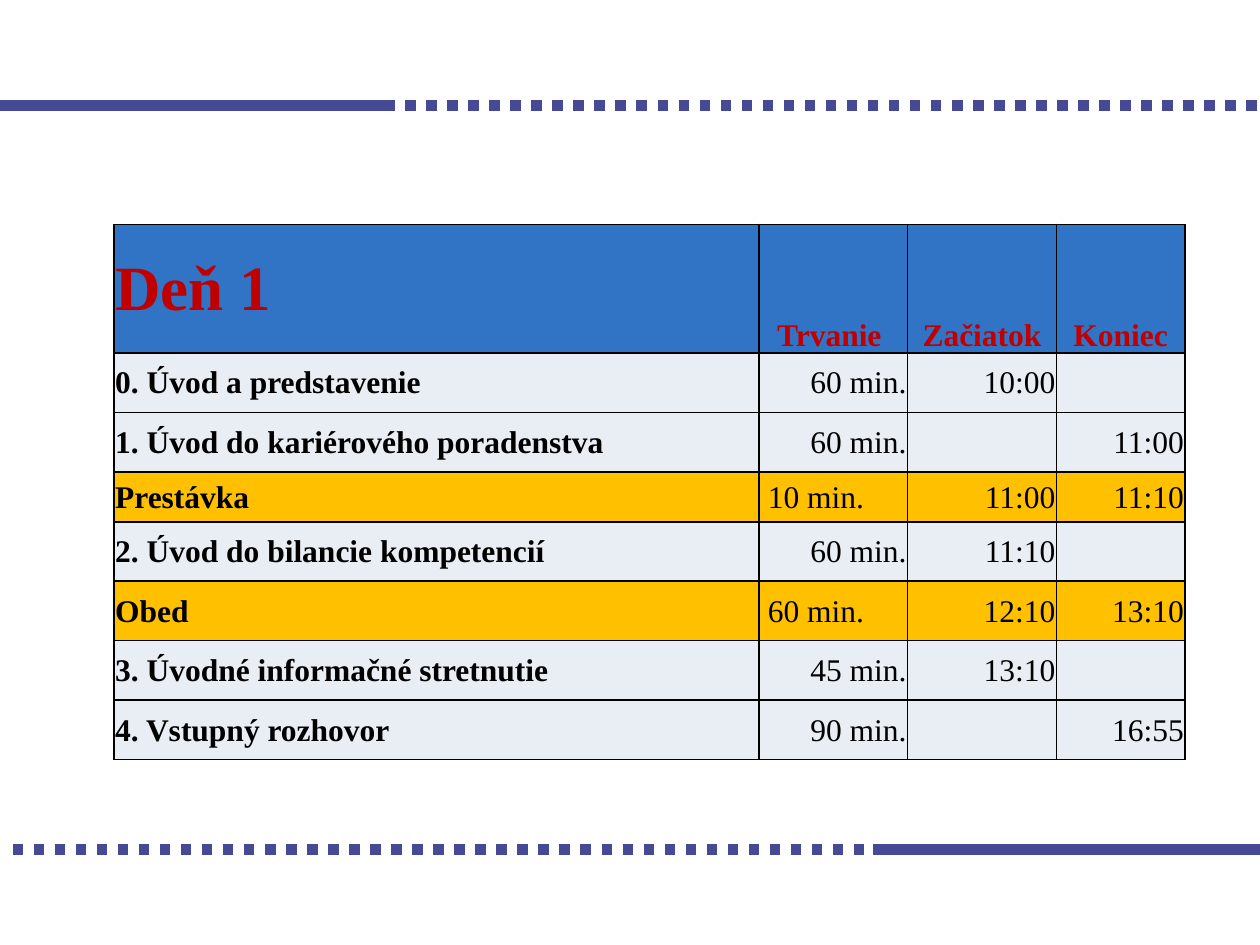
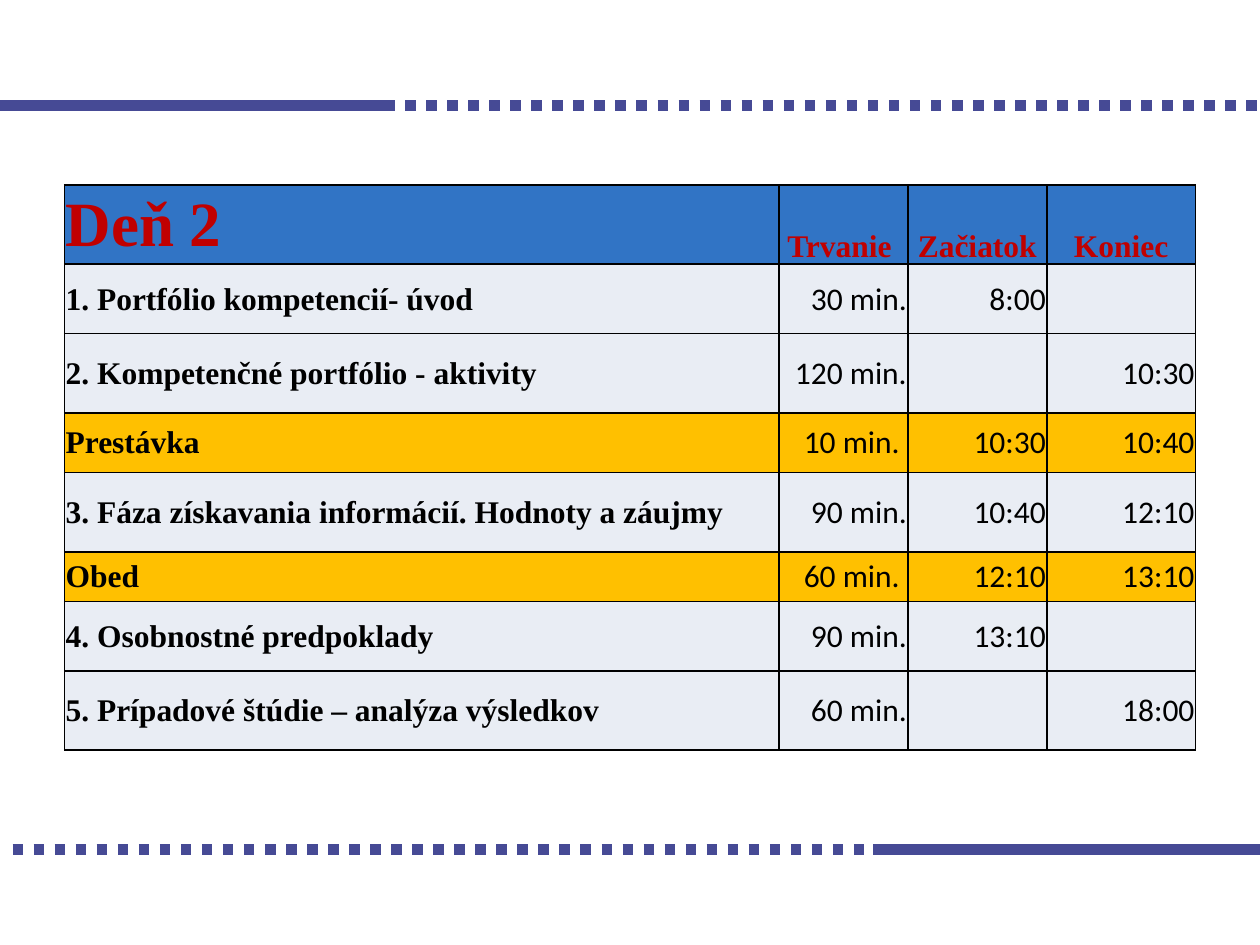
from pptx import Presentation
from pptx.dml.color import RGBColor
from pptx.enum import dml, shapes, text
from pptx.oxml import parse_xml
from pptx.oxml.ns import nsdecls
from pptx.util import Pt

# Shared look
INDIGO = RGBColor(0x46, 0x4A, 0x95)
BLUE = RGBColor(0x31, 0x74, 0xC5)
RED = RGBColor(0xC0, 0x00, 0x00)
PALE = RGBColor(0xE9, 0xED, 0xF4)
AMBER = RGBColor(0xFF, 0xC0, 0x00)
BLACK = RGBColor(0, 0, 0)
SERIF, SANS = "Times New Roman", "Calibri"
WIDTH, HEIGHT = 720, 540
LEFT, CENTER, RIGHT = (text.PP_ALIGN.LEFT, text.PP_ALIGN.CENTER,
                       text.PP_ALIGN.RIGHT)
MIDDLE, BOTTOM = text.MSO_ANCHOR.MIDDLE, text.MSO_ANCHOR.BOTTOM
BREAKS = ("Prestávka", "Obed")
HEADINGS = ("Trvanie ", "Začiatok", "Koniec")

# Timetables: topic, duration, start, end
DAY_ONE = [
    ("0. Úvod a predstavenie", "60 min.", "10:00", ""),
    ("1. Úvod do kariérového poradenstva", "60 min.", "", "11:00"),
    ("Prestávka", " 10 min.", "11:00", "11:10"),
    ("2. Úvod do bilancie kompetencií", "60 min.", "11:10", ""),
    ("Obed", " 60 min.", "12:10", "13:10"),
    ("3. Úvodné informačné stretnutie", "45 min.", "13:10", ""),
    ("4. Vstupný rozhovor", "90 min.", "", "16:55"),
]
DAY_TWO = [
    ("1. Portfólio kompetencií- úvod", "30 min.", "8:00", ""),
    ("2. Kompetenčné portfólio - aktivity", "120 min.", "", "10:30"),
    ("Prestávka", "10 min. ", "10:30", "10:40"),
    ("3. Fáza získavania informácií. Hodnoty a záujmy", "90 min.", "10:40", "12:10"),
    ("Obed", "60 min. ", "12:10", "13:10"),
    ("4. Osobnostné predpoklady", "90 min.", "13:10", ""),
    ("5. Prípadové štúdie – analýza výsledkov", "60 min.", "", "18:00"),
]


def add_rule(page, start, end, y, dotted=False):
    rule = page.shapes.add_connector(
        shapes.MSO_CONNECTOR.STRAIGHT, Pt(start), Pt(y), Pt(end), Pt(y))
    rule.line.color.rgb = INDIGO
    rule.line.width = Pt(6)
    if dotted:
        rule.line.dash_style = dml.MSO_LINE.ROUND_DOT
    rule.element.spPr.append(parse_xml(f"<a:effectLst {nsdecls('a')}/>"))


def add_bands(page):
    """Half solid, half dotted rules above and below the timetable."""
    top, bottom = 60.2, 485.4
    add_rule(page, 0, 221, top)
    add_rule(page, 219.5, 718.5, top, dotted=True)
    add_rule(page, 499, WIDTH, bottom)
    add_rule(page, 7.2, 506.2, bottom, dotted=True)


def format_cell(cell, fill, anchor):
    cell.margin_left = cell.margin_right = cell.margin_top = Pt(0.6)
    cell.margin_bottom = Pt(0)
    cell.vertical_anchor = anchor
    properties = cell._tc.get_or_add_tcPr()
    for side in "LRTB":
        properties.append(parse_xml(
            f'<a:ln{side} {nsdecls("a")} w="{Pt(1)}"><a:solidFill>'
            f'<a:srgbClr val="{BLACK}"/></a:solidFill></a:ln{side}>'))
    cell.fill.solid()
    cell.fill.fore_color.rgb = fill


def write_cell(cell, words, align, color=BLACK, size=18, bold=False, font=SERIF):
    para = cell.text_frame.paragraphs[0]
    para.alignment = align
    if not words:
        return
    span = para.add_run()
    span.text = words
    span.font.name = font
    span.font.size = Pt(size)
    span.font.bold = bold
    span.font.color.rgb = color


def add_timetable(page, box, columns, rows, title, sessions, time_font, break_align):
    left, top = box
    table = page.shapes.add_table(
        len(rows), len(columns), Pt(left), Pt(top),
        Pt(sum(columns)), Pt(sum(rows))).table
    table.horz_banding = False
    for column, width in zip(table.columns, columns):
        column.width = Pt(width)
    for row, height in zip(table.rows, rows):
        row.height = Pt(height)

    # Heading row
    for index, words in enumerate((title,) + HEADINGS):
        cell = table.cell(0, index)
        first = index == 0
        format_cell(cell, BLUE, MIDDLE if first else BOTTOM)
        write_cell(cell, words, LEFT if first else CENTER, RED,
                   36 if first else 18, bold=True)

    # Sessions and breaks
    for number, session in enumerate(sessions, 1):
        pause = session[0] in BREAKS
        aligns = (LEFT, break_align if pause else RIGHT, RIGHT, RIGHT)
        for index, (words, align) in enumerate(zip(session, aligns)):
            cell = table.cell(number, index)
            format_cell(cell, AMBER if pause else PALE, MIDDLE)
            write_cell(cell, words, align, bold=index == 0,
                       font=time_font if index else SERIF)


def add_day(deck, **timetable):
    page = deck.slides.add_slide(deck.slide_layouts[6])
    add_bands(page)
    add_timetable(page, **timetable)


def main():
    deck = Presentation()
    deck.slide_width, deck.slide_height = Pt(WIDTH), Pt(HEIGHT)
    add_day(deck, box=(65.2, 128.2), columns=(368.5, 85, 85, 73.5),
            rows=(73.5, 34, 34, 28.5, 34, 34, 34, 34),
            title="Deň 1", sessions=DAY_ONE, time_font=SERIF, break_align=LEFT)
    add_day(deck, box=(36.9, 105.6), columns=(408.3, 73.6, 79.4, 85),
            rows=(45.4, 39.6, 45.4, 34, 45.4, 28.4, 39.6, 45.4),
            title="Deň 2", sessions=DAY_TWO, time_font=SANS, break_align=RIGHT)
    deck.save("out.pptx")


if __name__ == "__main__":
    main()
